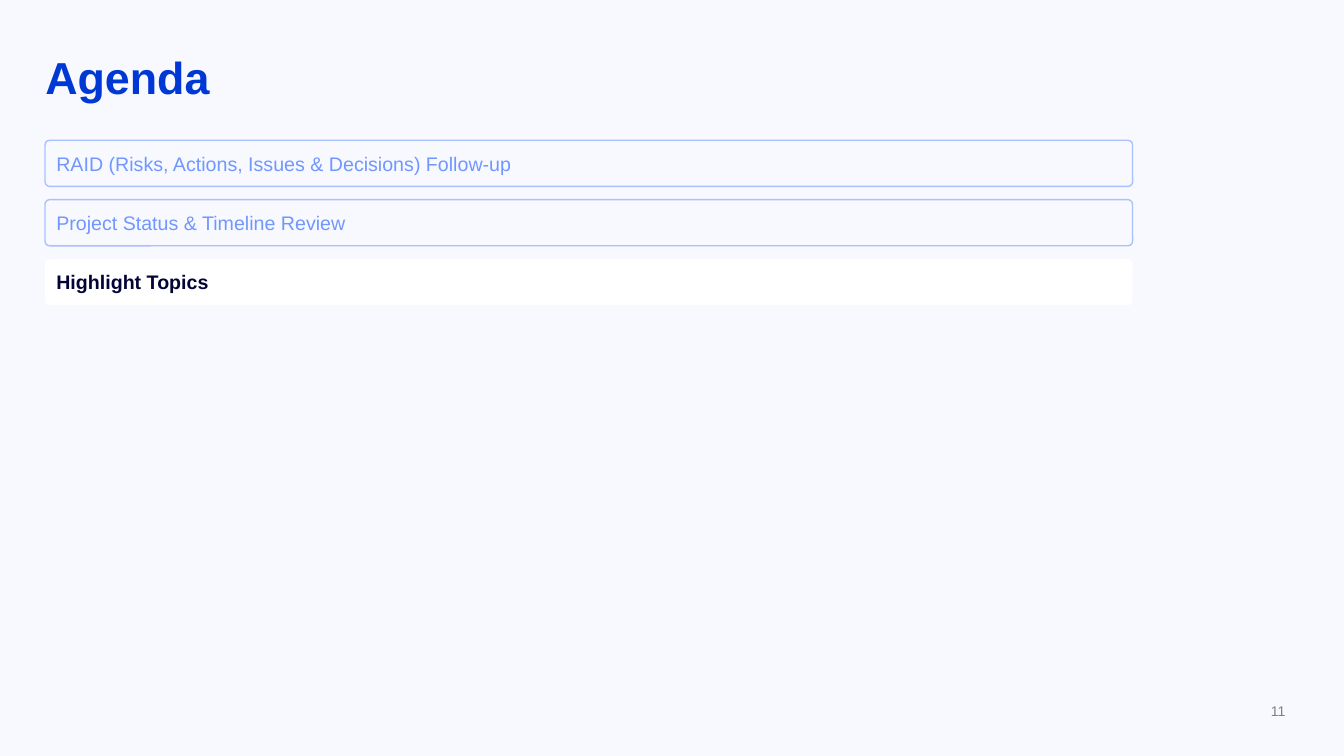
from pptx import Presentation
from pptx.dml.color import RGBColor
from pptx.enum.shapes import MSO_SHAPE as SHAPE
from pptx.enum.text import MSO_ANCHOR as ANCHOR, PP_ALIGN as ALIGN
from pptx.util import Pt

FONT = "Arial"
BACKGROUND, WHITE = "F7F9FF", "FFFFFF"
TITLE_BLUE, ITEM_BLUE, BORDER_BLUE = "0038D5", "7197FF", "AAC1FF"
NAVY, GREY = "030436", "808080"

TOPICS = [
    "RAID (Risks, Actions, Issues & Decisions) Follow-up",
    "Project Status & Timeline Review",
    "Highlight Topics",
]
CURRENT_TOPIC = "Highlight Topics"


def rgb(value):
    return RGBColor.from_string(value)


def write(s, text, size, color, bold=False, align=ALIGN.LEFT, anchor=ANCHOR.MIDDLE):
    tf = s.text_frame
    tf.word_wrap = True
    tf.vertical_anchor = anchor
    p = tf.paragraphs[0]
    p.alignment = align
    r = p.add_run()
    r.text = text
    r.font.name = FONT
    r.font.size = Pt(size)
    r.font.bold = bold
    r.font.color.rgb = rgb(color)


def add_title(slide, text, x, y, w, h):
    s = slide.shapes.add_textbox(Pt(x), Pt(y), Pt(w), Pt(h))
    s.text_frame.margin_left = 0
    write(s, text, 32, TITLE_BLUE, bold=True, anchor=ANCHOR.TOP)


def add_agenda(slide, topics, current, x, y, w, row_h, gap):
    """Stack one bar per topic; the current one is filled, the others outlined."""
    for i, topic in enumerate(topics):
        top = y + i * (row_h + gap)
        s = slide.shapes.add_shape(SHAPE.ROUNDED_RECTANGLE, Pt(x), Pt(top), Pt(w), Pt(row_h))
        s.shadow.inherit = False
        s.adjustments[0] = 0.1
        if topic == current:
            s.fill.solid()
            s.fill.fore_color.rgb = rgb(WHITE)
            s.line.fill.background()
            write(s, topic, 14, NAVY, bold=True)
        else:
            s.fill.background()
            s.line.color.rgb = rgb(BORDER_BLUE)
            s.line.width = Pt(1)
            write(s, topic, 14, ITEM_BLUE)


def add_page_number(slide, number, x, y, w, h):
    s = slide.shapes.add_textbox(Pt(x), Pt(y), Pt(w), Pt(h))
    write(s, number, 10, GREY, align=ALIGN.RIGHT)


def main():
    prs = Presentation()
    prs.slide_width, prs.slide_height = Pt(960), Pt(540)
    slide = prs.slides.add_slide(prs.slide_layouts[6])
    slide.background.fill.solid()
    slide.background.fill.fore_color.rgb = rgb(BACKGROUND)

    add_title(slide, "Agenda", x=32.4, y=31.7, w=925.2 - 32.4, h=46)
    add_agenda(slide, TOPICS, CURRENT_TOPIC, x=32.2, y=100.2, w=776.8, row_h=33, gap=9.4)
    add_page_number(slide, "11", x=709.2, y=498.2, w=216, h=19.4)
    prs.save("out.pptx")


if __name__ == "__main__":
    main()
